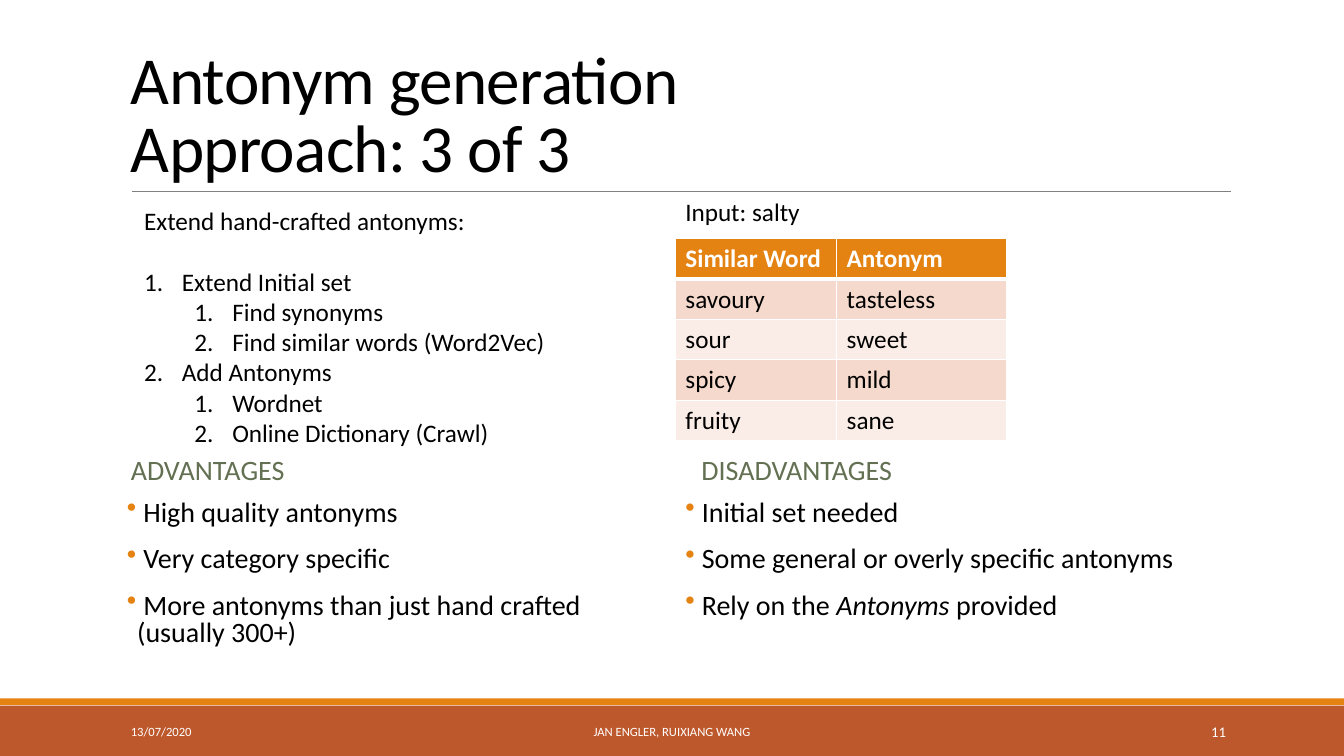
from dataclasses import dataclass

from lxml.etree import SubElement
from pptx import Presentation
from pptx.dml.color import RGBColor
from pptx.enum.shapes import MSO_CONNECTOR as Connector, MSO_SHAPE as Shape
from pptx.enum.text import MSO_ANCHOR as Anchor, PP_ALIGN as Align
from pptx.oxml.ns import qn
from pptx.util import Pt

# Content
TITLE = ["Antonym generation ", "Approach: 3 of 3"]
STEPS_INTRO = "Extend hand-crafted antonyms:"
STEPS = [  # (level, text)
    (0, "Extend Initial set"),
    (1, "Find synonyms"),
    (1, "Find similar words (Word2Vec)"),
    (0, "Add Antonyms"),
    (1, "Wordnet"),
    (1, "Online Dictionary (Crawl)"),
]
TABLE_CAPTION = "Input: salty"
ANTONYMS = [
    ("Similar Word", "Antonym"),
    ("savoury", "tasteless"),
    ("sour", "sweet"),
    ("spicy", "mild"),
    ("fruity", "sane"),
]
# Heading, heading left, list left, bullets; each bullet is a list of (text, italic)
COLUMNS = [
    ("ADVANTAGES", 86.4, 90.7, [
        [(" High quality antonyms", False)],
        [(" Very category specific", False)],
        [(" More antonyms than just hand crafted (usually 300+)", False)],
    ]),
    ("DISADVANTAGES", 493.9, 489.6, [
        [(" Initial set needed", False)],
        [(" Some general or overly specific antonyms", False)],
        [(" Rely on the ", False), ("Antonyms ", True), ("provided", False)],
    ]),
]


@dataclass(frozen=True)
class Theme:
    font: str = "Calibri"
    text: str = "000000"
    white: str = "FFFFFF"
    accent: str = "E48312"
    footer: str = "BD582C"
    heading: str = "637052"
    rule: str = "808080"
    bands: tuple = ("F5D9CC", "FAEDE7")
    title_size: float = 48
    body_size: float = 20
    detail_size: float = 18
    footer_size: float = 9
    number_size: float = 10.5


THEME = Theme()
WIDTH, HEIGHT = 960, 540
FOOTER = [  # text, left, width, alignment, size
    ("13/07/2020", 86.4, 194.4, Align.LEFT, THEME.footer_size),
    ("JAN ENGLER, RUIXIANG WANG", 290.2, 379.4, Align.CENTER, THEME.footer_size),
    ("11", 779.8, 103, Align.RIGHT, THEME.number_size),
]


def rgb(color):
    return RGBColor.from_string(color)


def add_bar(slide, top, height, color):
    bar = slide.shapes.add_shape(Shape.RECTANGLE, 0, Pt(top), Pt(WIDTH), Pt(height))
    bar.shadow.inherit = False
    bar.fill.solid()
    bar.fill.fore_color.rgb = rgb(color)
    bar.line.fill.background()


def add_text_frame(slide, left, top, width, height, anchor=Anchor.TOP):
    frame = slide.shapes.add_textbox(Pt(left), Pt(top), Pt(width), Pt(height)).text_frame
    frame.word_wrap = True
    frame.vertical_anchor = anchor
    return frame


def next_paragraph(frame):
    """Return the empty first paragraph, or add one after the last."""
    first = frame.paragraphs[0]
    return frame.add_paragraph() if first.runs else first


def add_run(paragraph, text, size, color=THEME.text, bold=False, italic=False):
    run = paragraph.add_run()
    run.text = text
    run.font.name, run.font.size = THEME.font, Pt(size)
    run.font.bold, run.font.italic = bold, italic
    run.font.color.rgb = rgb(color)
    return run


def set_spacing(paragraph, line):
    paragraph.line_spacing = line
    paragraph.space_before, paragraph.space_after = Pt(12), Pt(2)


def set_marker(paragraph, margin, hanging, tag, color=None, **attributes):
    """Give the paragraph a hanging indent and a bullet or number."""
    properties = paragraph._p.get_or_add_pPr()
    properties.set("marL", str(Pt(margin)))
    properties.set("indent", str(-Pt(hanging)))
    if color:
        SubElement(SubElement(properties, qn("a:buClr")), qn("a:srgbClr"), val=color)
    SubElement(properties, qn(tag), **attributes)


def add_title(slide):
    frame = add_text_frame(slide, 86.4, 22.3, 792, 114.5, Anchor.BOTTOM)
    paragraph = frame.paragraphs[0]
    paragraph.line_spacing = 0.85
    for index, line in enumerate(TITLE):
        if index:
            paragraph.add_line_break()
        run = add_run(paragraph, line, THEME.title_size)
        run.font._element.set("spc", "-50")
    rule = slide.shapes.add_connector(
        Connector.STRAIGHT, Pt(94.3), Pt(136.8), Pt(879.1), Pt(136.8))
    rule.line.color.rgb = rgb(THEME.rule)
    rule.line.width = Pt(0.5)
    SubElement(rule._element.spPr, qn("a:effectLst"))


def add_steps(slide):
    frame = add_text_frame(slide, 95.8, 143.3, 444, 269)
    add_run(frame.paragraphs[0], STEPS_INTRO, THEME.detail_size)
    for index, (level, text) in enumerate(STEPS):
        paragraph = next_paragraph(frame)
        paragraph.level = level
        if index == 0:
            paragraph.space_before = Pt(21.6)
        set_marker(paragraph, 27 + 36 * level, 27, "a:buAutoNum", type="arabicPeriod")
        add_run(paragraph, text, THEME.detail_size)


def add_column(slide, heading, heading_left, list_left, bullets):
    frame = add_text_frame(slide, heading_left, 307.4, 388.8, 58.3, Anchor.MIDDLE)
    paragraph = frame.paragraphs[0]
    set_spacing(paragraph, 0.9)
    add_run(paragraph, heading, THEME.body_size, THEME.heading)

    frame = add_text_frame(slide, list_left, 354.2, 388.8, 115.2)
    frame.margin_left = frame.margin_right = 0
    for bullet in bullets:
        paragraph = next_paragraph(frame)
        set_spacing(paragraph, 0.8)
        set_marker(paragraph, 7.2, 7.2, "a:buChar", THEME.accent, char="•")
        for text, italic in bullet:
            add_run(paragraph, text, THEME.body_size, italic=italic)


def set_borders(cell, top, bottom):
    properties = cell._tc.get_or_add_tcPr()
    for side, width in (("L", 1), ("R", 1), ("T", top), ("B", bottom)):
        line = SubElement(properties, qn(f"a:ln{side}"), w=str(Pt(width)))
        fill = SubElement(line, qn("a:solidFill"))
        SubElement(fill, qn("a:srgbClr"), val=THEME.white)


def add_antonym_table(slide):
    caption = add_text_frame(slide, 482.4, 136.8, 173.5, 28.8)
    add_run(caption.paragraphs[0], TABLE_CAPTION, THEME.detail_size)

    widths, row_height = (115.2, 121.7), 28.8
    table = slide.shapes.add_table(
        len(ANTONYMS), len(widths), Pt(482.4), Pt(170.6),
        Pt(sum(widths)), Pt(row_height * len(ANTONYMS))).table
    for column, width in zip(table.columns, widths):
        column.width = Pt(width)
    for index, words in enumerate(ANTONYMS):
        header = index == 0
        color = THEME.accent if header else THEME.bands[(index - 1) % 2]
        for cell, word in zip(table.rows[index].cells, words):
            set_borders(cell, top=3 if index == 1 else 1, bottom=3 if header else 1)
            cell.fill.solid()
            cell.fill.fore_color.rgb = rgb(color)
            add_run(cell.text_frame.paragraphs[0], word, THEME.detail_size,
                    THEME.white if header else THEME.text, bold=header)


def add_footer(slide):
    add_bar(slide, 504, 36, THEME.footer)
    add_bar(slide, 498.8, 4.8, THEME.accent)
    for text, left, width, alignment, size in FOOTER:
        frame = add_text_frame(slide, left, 508.3, width, 28.8, Anchor.MIDDLE)
        frame.paragraphs[0].alignment = alignment
        add_run(frame.paragraphs[0], text, size, THEME.white)


def main():
    presentation = Presentation()
    presentation.slide_width, presentation.slide_height = Pt(WIDTH), Pt(HEIGHT)
    slide = presentation.slides.add_slide(presentation.slide_layouts[6])
    add_footer(slide)
    add_title(slide)
    for column in COLUMNS:
        add_column(slide, *column)
    add_steps(slide)
    add_antonym_table(slide)
    presentation.save("out.pptx")


if __name__ == "__main__":
    main()
